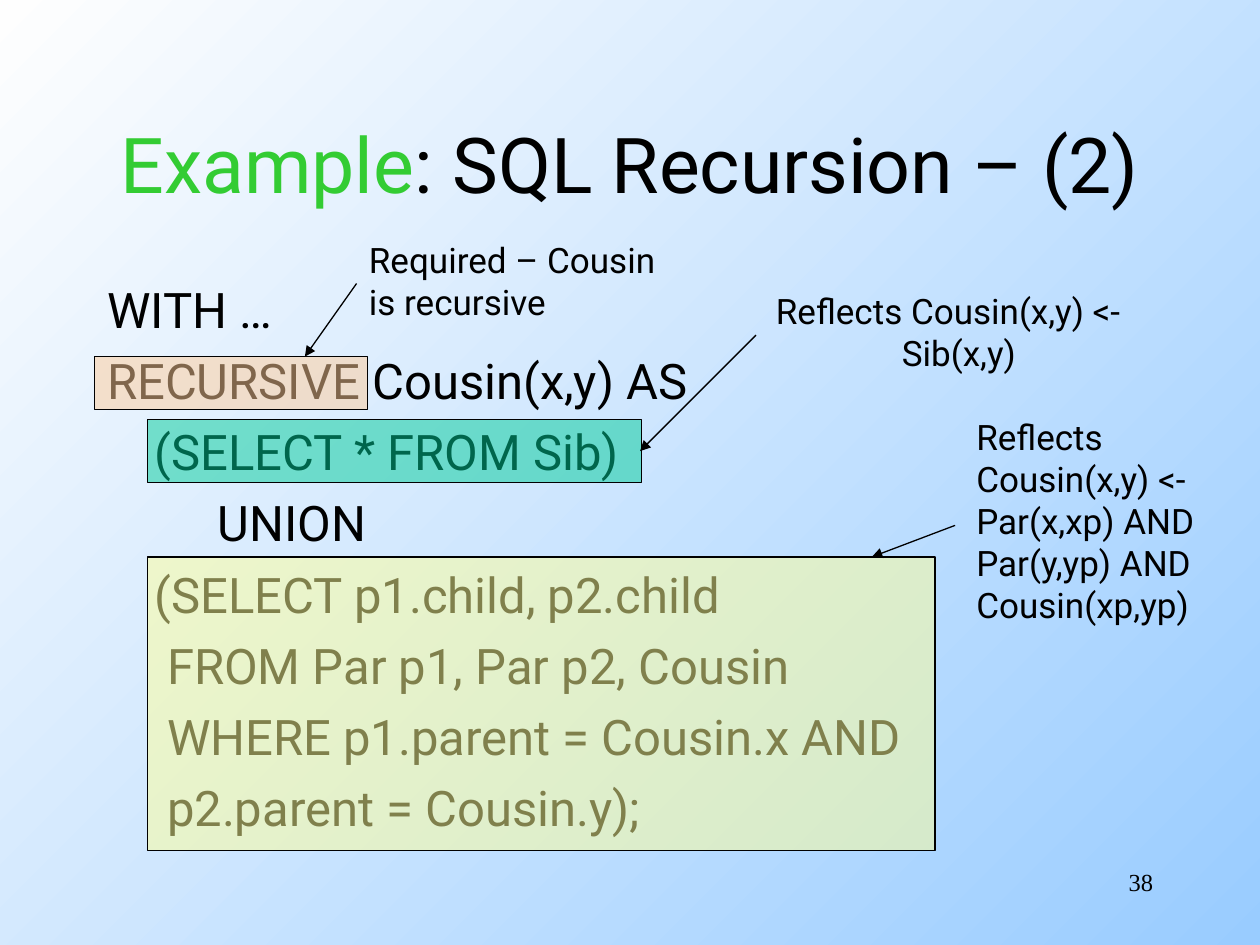
from lxml import etree
from pptx import Presentation
from pptx import util as u
from pptx.dml.color import RGBColor
from pptx.enum import shapes, text
from pptx.oxml.ns import qn

HUES = dict(black="000000", green="33CC33", sky="99CCFF", white="FEFEFE",
            teal="00CC99", yellow="FFFF99", peach="FFCC99")
FACE = "Roboto"
TITLE = [("Example", "green"), (": SQL Recursion – (2)", "black")]
QUERY = [
    "WITH …",
    "RECURSIVE Cousin(x,y) AS",
    "\t(SELECT * FROM Sib)",
    "\t\tUNION",
    "\t(SELECT p1.child, p2.child",
    "\t FROM Par p1, Par p2, Cousin",
    "\t WHERE p1.parent = Cousin.x AND",
    "\t p2.parent = Cousin.y);",
]
# each note: marked area, its colour, text area, text lines, arrow ends
NOTES = [
    dict(mark=(1.17, 3.33, 3.92, 0.5), hue="teal",
         area=(6.06, 2.25, 3.04, 0.77), arrow=(6, 2.66, 5.08, 3.58),
         lines=["Reflects Cousin(x,y) <-", "\tSib(x,y)"]),
    dict(mark=(1.17, 4.42, 6.25, 2.33), hue="yellow",
         area=(7.65, 3.25, 2.01, 1.77), arrow=(7.58, 4.17, 6.92, 4.42),
         lines=["Reflects", "Cousin(x,y) <-", "Par(x,xp) AND",
                "Par(y,yp) AND", "Cousin(xp,yp)"]),
    dict(mark=(0.75, 2.83, 2.17, 0.42), hue="peach",
         area=(2.83, 1.84, 2.56, 0.77), arrow=(2.83, 2.25, 2.42, 2.83),
         lines=["Required – Cousin", "is recursive"]),
]


def rgb(name):
    """Look up a colour by name."""
    return RGBColor.from_string(HUES[name])


def inches(spots):
    """Turn plain numbers into lengths."""
    return [u.Inches(n) for n in spots]


def place(item, area):
    """Move and size a placeholder."""
    item.left, item.top, item.width, item.height = inches(area)


def style(font, size, hue="black", face=FACE):
    """Set size, colour and face of a font."""
    font.size, font.name = u.Pt(size), face
    font.color.rgb = rgb(hue)


def write(frame, lines, size, face=FACE):
    """Fill a text frame, one paragraph a line, with one-inch tab stops."""
    frame.text = "\n".join(lines)
    for para in frame.paragraphs:
        props = para._p.get_or_add_pPr()
        etree.SubElement(props, qn("a:buNone"))
        tabs = etree.SubElement(props, qn("a:tabLst"))
        for n in range(8):
            etree.SubElement(tabs, qn("a:tab"), pos=str(u.Inches(n)), algn="l")
        style(para.font, size, face=face)


def edge(line):
    """Draw a thin black line."""
    line.color.rgb, line.width = rgb("black"), u.Pt(0.74)


def mark(group, area, hue):
    """Add a half-clear box over part of the query."""
    box = group.shapes.add_shape(shapes.MSO_SHAPE.RECTANGLE, *inches(area))
    box.shadow.inherit = False
    box.fill.solid()
    box.fill.fore_color.rgb = rgb(hue)
    tint = box._element.spPr.find(qn("a:solidFill"))[0]
    etree.SubElement(tint, qn("a:alpha"), val="50000")
    edge(box.line)


def label(group, area, lines):
    """Add the words of a note."""
    box = group.shapes.add_textbox(*inches(area))
    frame = box.text_frame
    write(frame, lines, 20)
    frame.word_wrap = False
    frame.auto_size = text.MSO_AUTO_SIZE.SHAPE_TO_FIT_TEXT


def arrow(group, ends):
    """Add an arrow from a note to its box."""
    link = group.shapes.add_connector(shapes.MSO_CONNECTOR.STRAIGHT, *inches(ends))
    edge(link.line)
    etree.SubElement(link.line._get_or_add_ln(), qn("a:tailEnd"), type="triangle")
    etree.SubElement(link._element.spPr, qn("a:effectLst"))


deck = Presentation()
deck.slide_width, deck.slide_height = inches((10, 7.5))
slide = deck.slides.add_slide(deck.slide_layouts[1])

back = slide.background.fill
back.gradient()
back.gradient_angle = 135
for stop, hue, spot in zip(back.gradient_stops, ("sky", "white"), (0, 1)):
    stop.color.rgb, stop.position = rgb(hue), spot

title, body = slide.placeholders
place(title, (0.75, 0.67, 8.5, 1.25))
head = title.text_frame.paragraphs[0]
head.alignment = text.PP_ALIGN.CENTER
for words, hue in TITLE:
    run = head.add_run()
    run.text = words
    style(run.font, 44, hue)

place(body, (0.75, 2.17, 8.5, 4.5))
write(body.text_frame, QUERY, 28)
body.text_frame.auto_size = text.MSO_AUTO_SIZE.NONE
for para in body.text_frame.paragraphs:
    para.space_before = u.Pt(7)
    props = para._p.get_or_add_pPr()
    props.set("marL", str(u.Inches(0.38)))
    props.set("indent", str(u.Inches(-0.38)))

for note in NOTES:
    group = slide.shapes.add_group_shape()
    mark(group, note["mark"], note["hue"])
    label(group, note["area"], note["lines"])
    arrow(group, note["arrow"])

page = slide.shapes.add_textbox(*inches((7.17, 6.83, 2.08, 0.5))).text_frame
page.word_wrap = True
write(page, ["38"], 14, "Times New Roman")
page.paragraphs[0].alignment = text.PP_ALIGN.RIGHT

deck.save("out.pptx")
